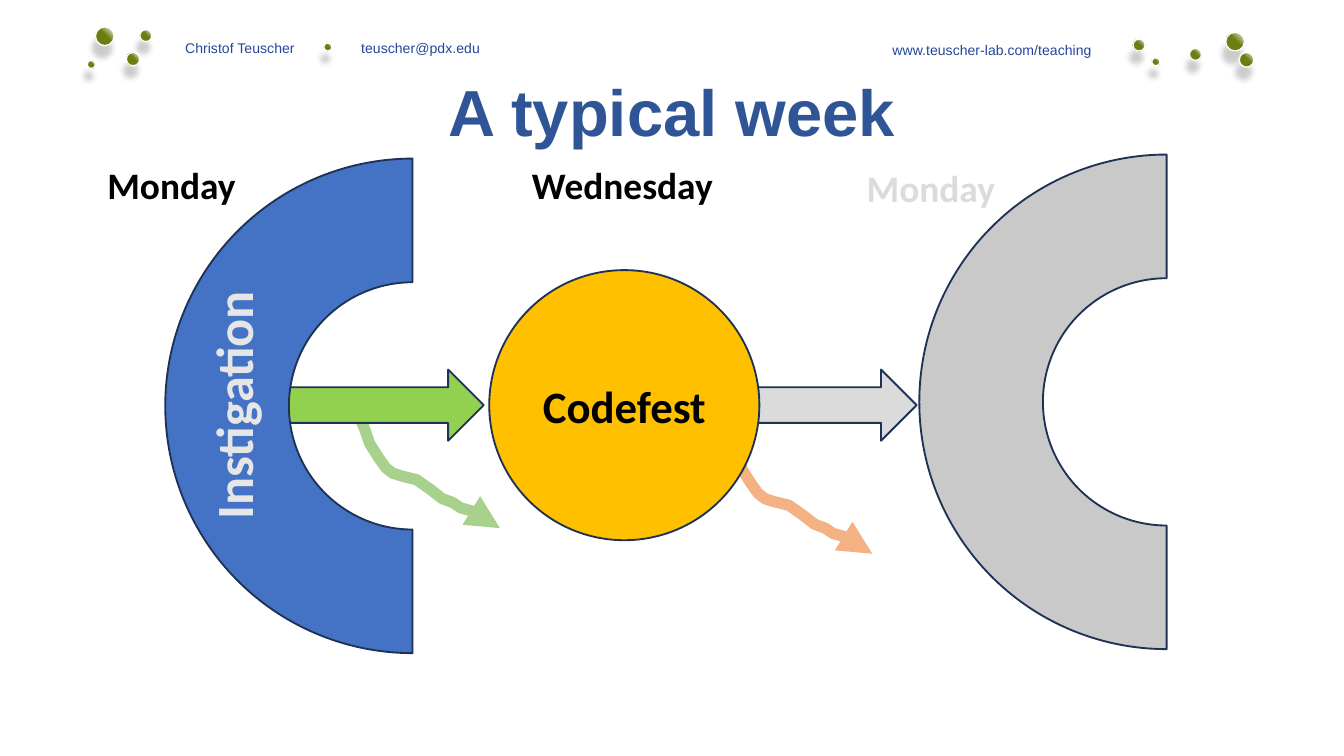
from pptx import Presentation
from pptx.dml.color import RGBColor
from pptx.enum.shapes import MSO_SHAPE as SHAPE
from pptx.enum.text import MSO_ANCHOR as ANCHOR, PP_ALIGN as ALIGN
from pptx.oxml import parse_xml
from pptx.util import Inches, Pt

NS = 'xmlns:a="http://schemas.openxmlformats.org/drawingml/2006/main"'
BALL = f'''<a:gradFill {NS} rotWithShape="1"><a:gsLst>
<a:gs pos="53000"><a:srgbClr val="6A7F10"/></a:gs>
<a:gs pos="100000"><a:srgbClr val="FFFFFF"/></a:gs></a:gsLst>
<a:path path="circle"><a:fillToRect t="100000" r="100000"/></a:path></a:gradFill>'''
SHADE = f'''<a:outerShdw {NS} blurRad="38100" dist="82550" dir="6240000" rotWithShape="0">
<a:srgbClr val="000000"><a:alpha val="20000"/></a:srgbClr></a:outerShdw>'''
TAIL = f'<a:tailEnd {NS} type="triangle"/>'
TABS = f'''<a:tabLst {NS}><a:tab pos="{Inches(0.35)}" algn="l"/>
<a:tab pos="{Inches(1.66)}" algn="l"/></a:tabLst>'''

deck = Presentation()
deck.slide_width = Inches(10)
deck.slide_height = Inches(10) * 9 // 16
slide = deck.slides.add_slide(deck.slide_layouts[6])
shapes = slide.shapes


def write(shape, text, size, color, font="Calibri", bold=True, align=ALIGN.CENTER):
    """Add one run to the shape's first paragraph and return that paragraph."""
    para = shape.text_frame.paragraphs[0]
    para.alignment = align
    run = para.add_run()
    run.text = text
    run.font.size, run.font.name, run.font.bold = Pt(size), font, bold
    run.font.color.rgb = RGBColor.from_string(color)
    return para


def draw(kind, x, y, w, h, fill=None, line="1E3256", width=1):
    shape = shapes.add_shape(kind, Inches(x), Inches(y), Inches(w), Inches(h))
    shape.shadow.inherit = False
    if fill:
        shape.fill.solid()
        shape.fill.fore_color.rgb = RGBColor.from_string(fill)
    shape.line.color.rgb = RGBColor.from_string(line)
    shape.line.width = Pt(width)
    return shape


# Header: contact details and green balls
for texts, x, y, w, align in [
    (["\tChristof Teuscher", "\tteuscher@pdx.edu"], 0.93, 0.13, 3.6, ALIGN.LEFT),
    (["www.teuscher-lab.com/teaching"], 5.74, 0.14, 2.48, ALIGN.RIGHT),
]:
    box = shapes.add_textbox(Inches(x), Inches(y), Inches(w), Inches(0.34))
    box.text_frame.word_wrap = True
    box.text_frame.vertical_anchor = ANCHOR.BOTTOM
    if align == ALIGN.LEFT:
        box.text_frame.paragraphs[0]._p.get_or_add_pPr().append(parse_xml(TABS))
    for text in texts:
        write(box, text, 7.5, "24459C", "Arial", False, align)

for x, y, size in [
    (0.71, 0.2, 0.14), (9.12, 0.24, 0.14), (9.22, 0.39, 0.11), (1.04, 0.22, 0.09),
    (0.94, 0.39, 0.1), (0.65, 0.45, 0.06), (2.41, 0.32, 0.06), (8.85, 0.36, 0.09),
    (8.43, 0.29, 0.09), (8.57, 0.43, 0.06),
]:
    ball = draw(SHAPE.OVAL, x, y, size, size, line="FFFFFF", width=0.75)
    props = ball._element.spPr
    props.insert(2, parse_xml(BALL))
    props[-1].append(parse_xml(SHADE))

# Wavy arrows: one outline, placed twice
WAVE = [
    (0, 0.03), (0.1, 0.01), (0.2, 0.01), (0.29, 0.03), (0.33, 0.07), (0.38, 0.08),
    (0.4, 0.12), (0.42, 0.17), (0.45, 0.26), (0.52, 0.37), (0.57, 0.44), (0.62, 0.48),
    (0.68, 0.5), (0.8, 0.53), (0.9, 0.6), (0.99, 0.67), (1.07, 0.7), (1.13, 0.74),
    (1.24, 0.77), (1.33, 0.8), (1.38, 0.84), (1.42, 0.89),
]
for x, y, color in [(5.07, 3.23, "F4B183"), (2.3, 3.04, "A9D18E")]:
    points = [(Inches(x + dx), Inches(y + dy)) for dx, dy in WAVE]
    path = shapes.build_freeform(*points[0])
    path.add_line_segments(points[1:], close=False)
    wave = path.convert_to_shape()
    wave.shadow.inherit = False
    wave.fill.background()
    wave.line.color.rgb = RGBColor.from_string(color)
    wave.line.width = Pt(6)
    wave.line._ln.append(parse_xml(TAIL))

# Flow of the week
draw(SHAPE.RIGHT_ARROW, 5.53, 2.75, 1.29, 0.53, "DBDBDB")
draw(SHAPE.RIGHT_ARROW, 2.13, 2.75, 1.47, 0.53, "92D050")

title = shapes.add_textbox(0, Inches(0.63), Inches(10), Inches(0.51))
frame = title.text_frame
frame.word_wrap = True
frame.vertical_anchor = ANCHOR.BOTTOM
frame.margin_left = frame.margin_right = Inches(0.07)
frame.margin_top = frame.margin_bottom = Inches(0.04)
write(title, "A typical week", 34.9, "2F5597", "Arial").line_spacing = 0.7

fest = draw(SHAPE.OVAL, 3.64, 2.01, 2.01, 2.01, "FFC000")
fest.text_frame.vertical_anchor = ANCHOR.MIDDLE
write(fest, "Codefest", 24, "000000")

for x, y, fill in [(1.23, 1.18, "4472C4"), (6.84, 1.15, "C9C9C9")]:
    draw(SHAPE.BLOCK_ARC, x, y, 3.68, 3.68, fill).rotation = 270

side = shapes.add_textbox(Inches(-0.77), Inches(2.73), Inches(5), Inches(0.57))
side.rotation = 270
side.text_frame.word_wrap = True
write(side, "Instigation", 28, "E7E6E6")

for day, x, y, w, color in [
    ("Monday", 0.7, 1.16, 1.17, "000000"),
    ("Wednesday", 3.86, 1.16, 1.56, "000000"),
    ("Monday", 6.35, 1.18, 1.17, "DBDBDB"),
]:
    box = shapes.add_textbox(Inches(x), Inches(y), Inches(w), Inches(0.44))
    box.text_frame.word_wrap = False
    write(box, day, 20, color, align=ALIGN.LEFT)

deck.save("out.pptx")
